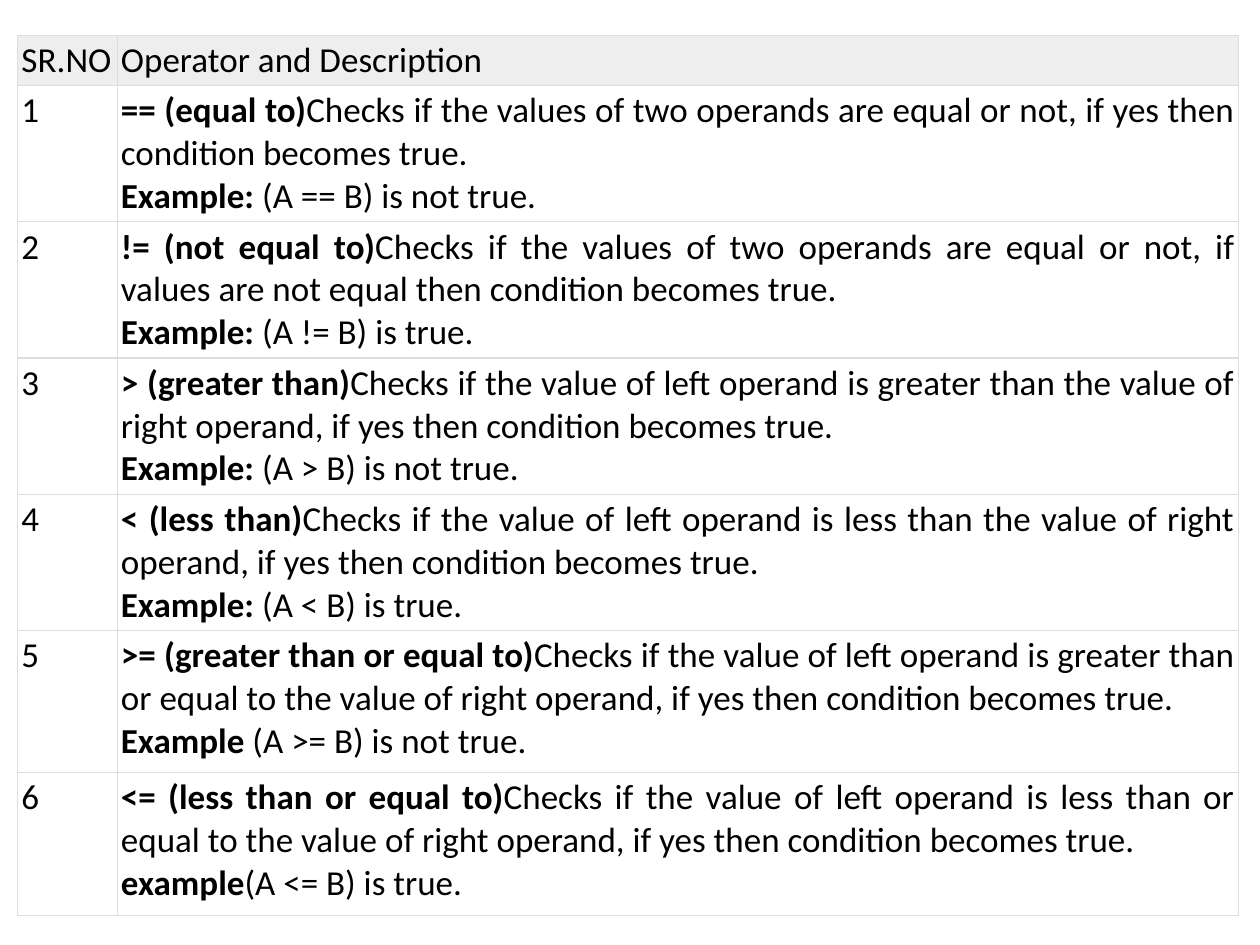
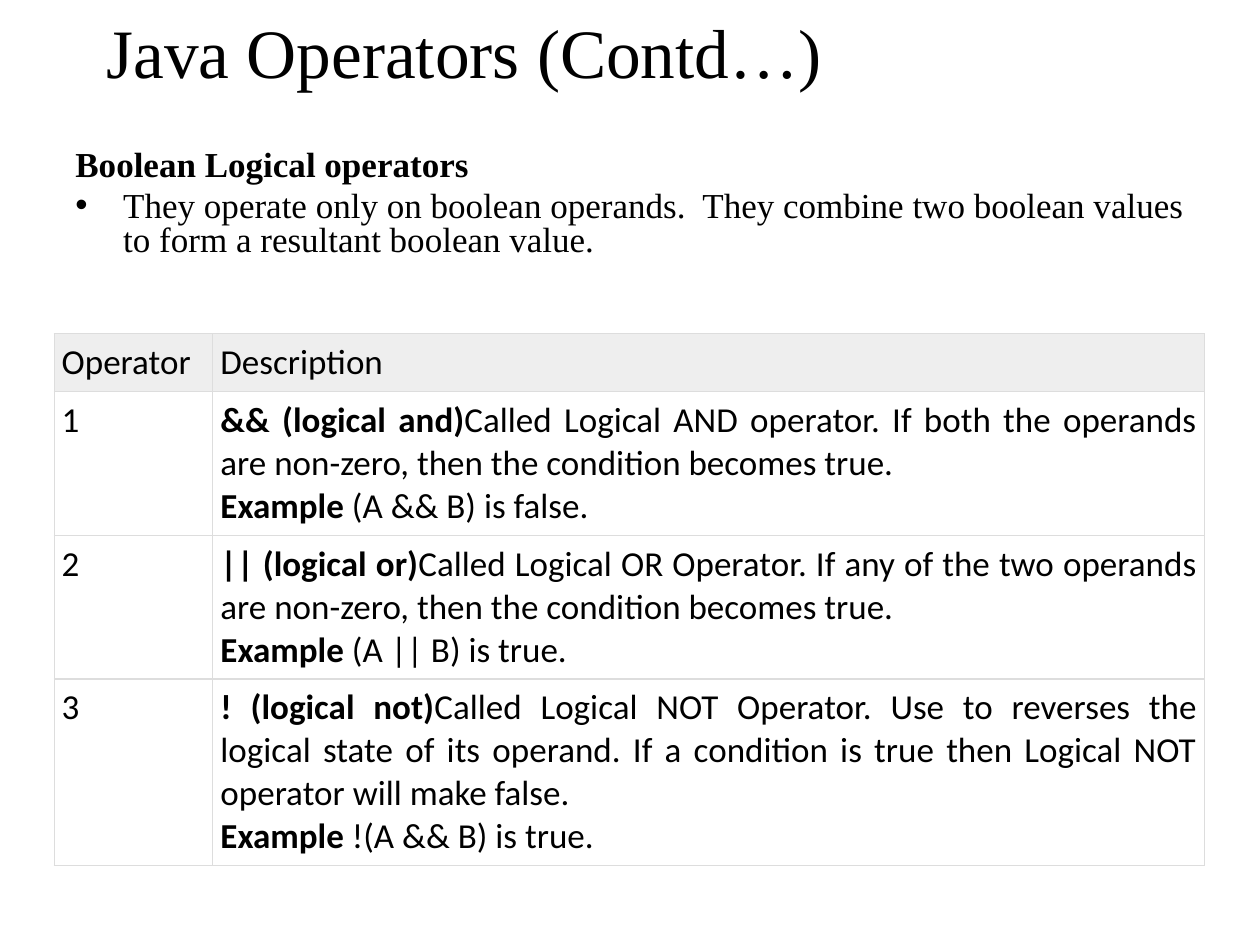
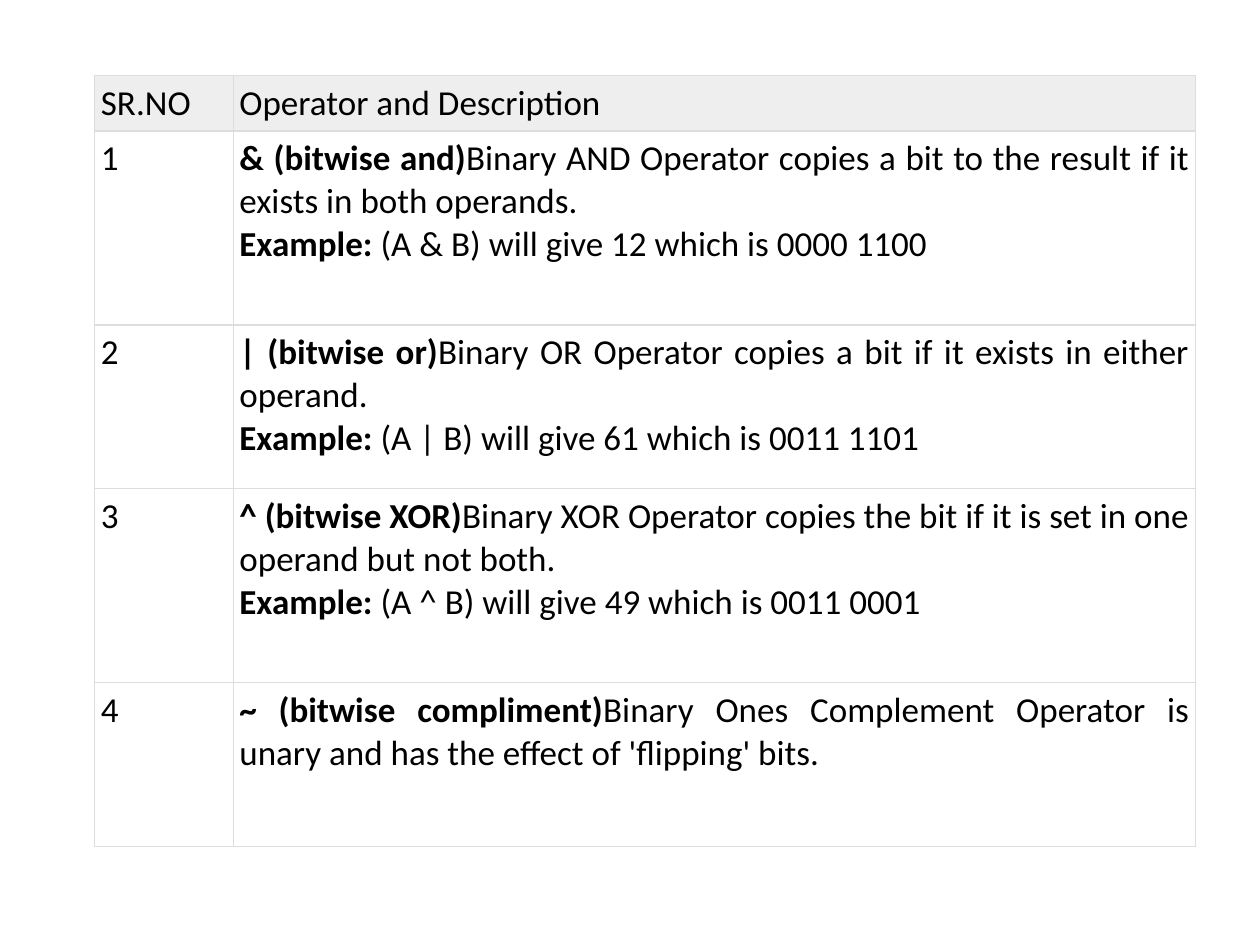
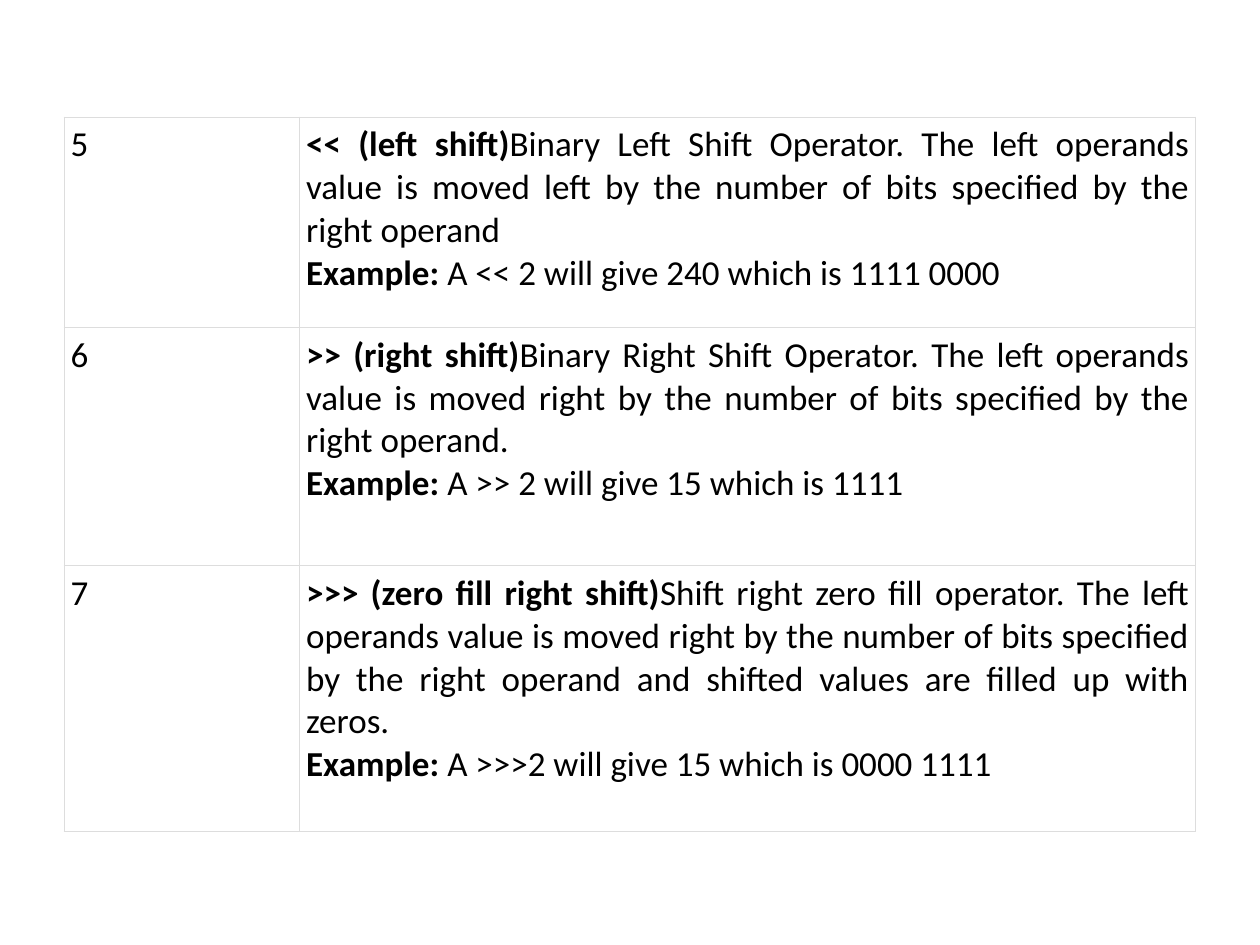
from dataclasses import dataclass

from lxml.etree import SubElement
from pptx import Presentation
from pptx.dml.color import RGBColor as RGB
from pptx.enum.text import MSO_ANCHOR as Anchor, PP_ALIGN as Align
from pptx.oxml import parse_xml
from pptx.oxml.ns import nsdecls, qn
from pptx.util import Emu, Inches, Pt


@dataclass(frozen=True)
class Theme:
    """Colours, fonts and type sizes of the deck."""
    ink: str = "000000"
    paper: str = "FFFFFF"
    band: str = "EEEEEE"
    rule: str = "DDDDDD"
    rule_width: float = 0.75
    table_font: str = "Calibri"
    text_font: str = "Times New Roman"
    body_size: float = 20
    title_size: float = 39.6


THEME = Theme()
WIDTH, HEIGHT = Inches(10), Inches(7.5)
COLS, ROWS = 100, 75  # square grid over the slide

COMPARISON = [
    ("1", "== (equal to)", "Checks if the values of two operands are equal or not, "
     "if yes then condition becomes true.", "Example:", "\u00a0(A == B) is not true."),
    ("2", "!= (not equal to)", "Checks if the values of two operands are equal or not, "
     "if values are not equal then condition becomes true.",
     "Example:", "\u00a0(A != B) is true."),
    ("3", "> (greater than)", "Checks if the value of left operand is greater than the "
     "value of right operand, if yes then condition becomes true.",
     "Example:", "\u00a0(A > B) is not true."),
    ("4", "< (less than)", "Checks if the value of left operand is less than the "
     "value of right operand, if yes then condition becomes true.",
     "Example:", "\u00a0(A < B) is true."),
    ("5", ">= (greater than or equal to)", "Checks if the value of left operand is "
     "greater than or equal to the value of right operand, if yes then condition "
     "becomes true.", "Example", "\u00a0(A >= B) is not true."),
    ("6", "<= (less than or equal to)", "Checks if the value of left operand is "
     "less than or equal to the value of right operand, if yes then condition "
     "becomes true.", "example", "(A <= B) is true."),
]
LOGICAL = [
    ("1", "&& (logical and)", "Called Logical AND operator. If both the operands are "
     "non-zero, then the condition becomes true.",
     "Example", "\u00a0(A && B) is false."),
    ("2", "|| (logical or)", "Called Logical OR Operator. If any of the two operands "
     "are non-zero, then the condition becomes true.",
     "Example", "\u00a0(A || B) is true."),
    ("3", "! (logical not)", "Called Logical NOT Operator. Use to reverses the logical "
     "state of its operand. If a condition is true then Logical NOT operator will "
     "make false.", "Example", "\u00a0!(A && B) is true."),
]
BITWISE = [
    ("1", "& (bitwise and)", "Binary AND Operator copies a bit to the result if it "
     "exists in both operands.",
     "Example:", "\u00a0(A & B) will give 12 which is 0000 1100"),
    ("2", "| (bitwise or)", "Binary OR Operator copies a bit if it exists in either "
     "operand.", "Example:", "\u00a0(A | B) will give 61 which is 0011 1101"),
    ("3", "^ (bitwise XOR)", "Binary XOR Operator copies the bit if it is set in one "
     "operand but not both.",
     "Example:", "\u00a0(A ^ B) will give 49 which is 0011 0001"),
    ("4", "~ (bitwise compliment)", "Binary Ones Complement Operator is unary and has "
     "the effect of 'flipping' bits."),
]
SHIFT = [
    ("5", "<< (left shift)", "Binary Left Shift Operator. The left operands value is "
     "moved left by the number of bits specified by the right operand",
     "Example:", "\u00a0A << 2 will give 240 which is 1111 0000"),
    ("6", ">> (right shift)", "Binary Right Shift Operator. The left operands value is "
     "moved right by the number of bits specified by the right operand.",
     "Example:", "\u00a0A >> 2 will give 15 which is 1111"),
    ("7", ">>> (zero fill right shift)", "Shift right zero fill operator. The left "
     "operands value is moved right by the number of bits specified by the right "
     "operand and shifted values are filled up with zeros.",
     "Example:", "\u00a0A >>>2 will give 15 which is 0000 1111"),
]
NUMBERED_HEAD = ("SR.NO", "Operator and Description")


def col(n):
    """Length of n grid columns."""
    return Emu(round(WIDTH * n / COLS))


def row(n):
    """Length of n grid rows."""
    return Emu(round(HEIGHT * n / ROWS))


def put(obj, **values):
    """Set the given attributes on an object."""
    for name, value in values.items():
        setattr(obj, name, value)


def add_run(p, text, font, size=THEME.body_size, bold=False):
    """Append a run of text to a paragraph."""
    r = p.add_run()
    r.text = text
    put(r.font, name=font, size=Pt(size), bold=bold)
    r.font.color.rgb = RGB.from_string(THEME.ink)


def add_box(slide, left, top, width, height, anchor=Anchor.TOP):
    """Add a wrapping text box and return its text frame."""
    sp = slide.shapes.add_textbox(col(left), row(top), col(width), row(height))
    put(sp.text_frame, word_wrap=True, vertical_anchor=anchor)
    return sp.text_frame


def add_title(slide, text):
    """Add the slide title."""
    p = add_box(slide, 0.3, 1.7, 73.1, 4.7, Anchor.MIDDLE).paragraphs[0]
    p.alignment = Align.CENTER
    add_run(p, text, THEME.text_font, THEME.title_size)


def add_intro(slide, heading, point):
    """Add a bold heading with one bulleted point below it."""
    tf = add_box(slide, 5, 11.5, 90, 15)
    head, item = tf.paragraphs[0], tf.add_paragraph()
    for p, text, bold in ((head, heading, True), (item, point, False)):
        put(p, line_spacing=0.8, space_before=Pt(THEME.body_size * 0.2))
        add_run(p, text, THEME.text_font, bold=bold)
    pPr = item._p.get_or_add_pPr()
    pPr.set("marL", str(col(3.8)))
    pPr.set("indent", str(-col(3.8)))
    SubElement(pPr, qn("a:buFont")).set("typeface", "Arial")
    SubElement(pPr, qn("a:buChar")).set("char", "\u2022")


def style_cell(cell, fill, inset):
    """Give a cell its fill, insets and four thin borders."""
    pad = col(inset)
    put(cell, margin_left=pad, margin_right=pad, margin_top=pad, margin_bottom=pad,
        vertical_anchor=Anchor.TOP)
    cell.fill.solid()
    cell.fill.fore_color.rgb = RGB.from_string(fill)
    tcPr = cell._tc.get_or_add_tcPr()
    for i, side in enumerate("LRTB"):
        tcPr.insert(i, parse_xml(
            f'<a:ln{side} {nsdecls("a")} w="{Pt(THEME.rule_width)}"><a:solidFill>'
            f'<a:srgbClr val="{THEME.rule}"/></a:solidFill></a:ln{side}>'))


def write_entry(tf, term, meaning, label="", example=""):
    """Write an operator's meaning and, if there is one, its example."""
    p = tf.paragraphs[0]
    p.alignment = Align.JUSTIFY
    add_run(p, term, THEME.table_font, bold=True)
    add_run(p, meaning, THEME.table_font)
    if label:
        p = tf.add_paragraph()
        add_run(p, label, THEME.table_font, bold=True)
        add_run(p, example, THEME.table_font)


def add_operators(slide, left, top, widths, heights, entries, inset, head=None):
    """Add a two-column operator table, with a shaded head row if given."""
    table = slide.shapes.add_table(len(heights), 2, col(left), row(top),
                                   col(sum(widths)), row(sum(heights))).table
    put(table, first_row=head is not None, horz_banding=False)
    for column, width in zip(table.columns, widths):
        column.width = col(width)
    for line, height in zip(table.rows, heights):
        line.height = row(height)
        for cell in line.cells:
            style_cell(cell, THEME.paper, inset)
    lines = list(table.rows)
    if head:
        for cell, text in zip(lines.pop(0).cells, head):
            cell.fill.fore_color.rgb = RGB.from_string(THEME.band)
            add_run(cell.text_frame.paragraphs[0], text, THEME.table_font)
    for line, (number, *entry) in zip(lines, entries):
        key, description = line.cells
        add_run(key.text_frame.paragraphs[0], number, THEME.table_font)
        write_entry(description.text_frame, *entry)


def main():
    """Build the four operator slides."""
    prs = Presentation()
    put(prs, slide_width=WIDTH, slide_height=HEIGHT)
    comparison, logical, bitwise, shift = (
        prs.slides.add_slide(prs.slide_layouts[6]) for _ in range(4))

    add_operators(comparison, 1.4, 2.8, (7.9, 89), [4] + [10.8] * 4 + [11.3] * 2,
                  COMPARISON, 0.3, NUMBERED_HEAD)

    add_intro(logical, "Boolean Logical operators",
              "They operate only on boolean operands.  They combine two boolean "
              "values to form a resultant boolean value.")
    add_title(logical, "Java Operators (Contd\u2026)")
    add_operators(logical, 4.3, 26.5, (12.6, 78.7), (4.6, 11.4, 11.4, 14.8),
                  LOGICAL, 0.6, ("Operator", "Description"))

    add_operators(bitwise, 7.5, 6, (11, 76.4), [4.4] + [15.4, 13] * 2,
                  BITWISE, 0.5, NUMBERED_HEAD)

    add_operators(shift, 5.1, 9.3, (18.7, 71.1), (16.7, 18.9, 21.1), SHIFT, 0.5)
    prs.save("out.pptx")


main()
